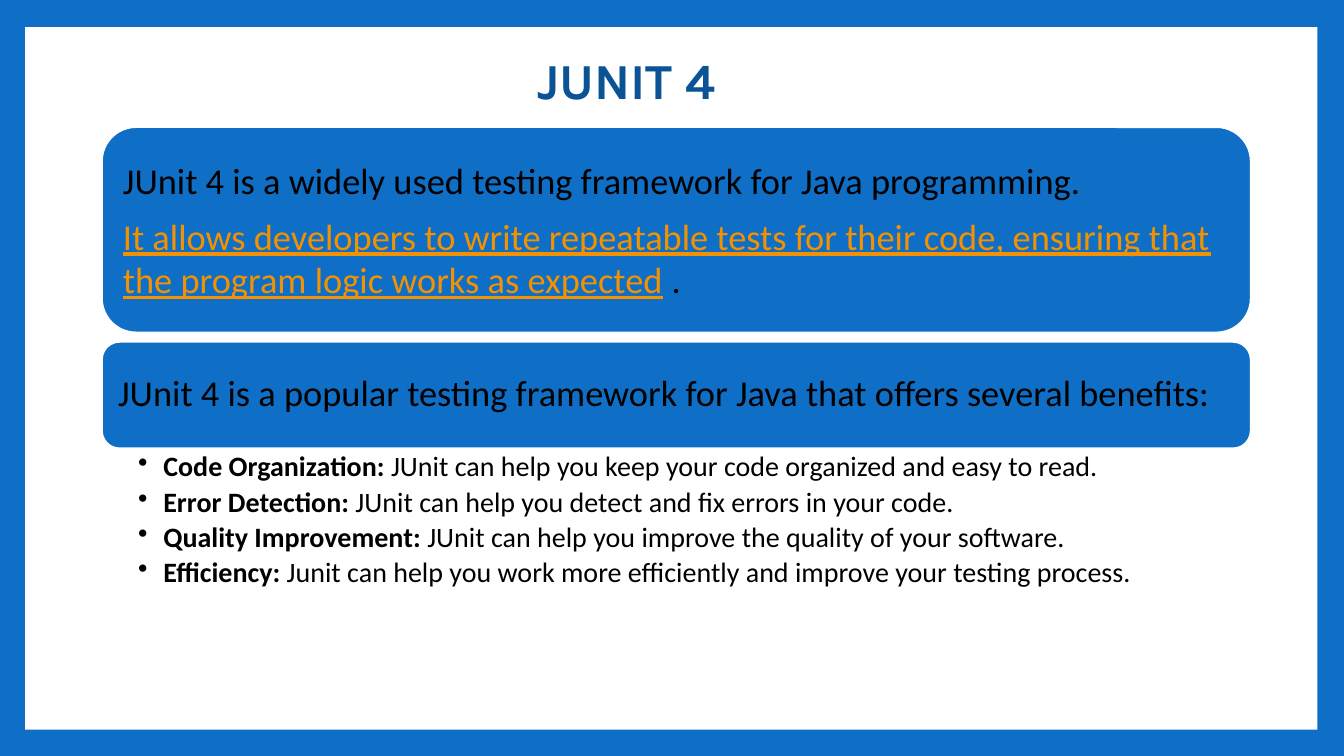
from lxml.etree import SubElement
from pptx import Presentation
from pptx.dml.color import RGBColor
from pptx.enum.shapes import MSO_SHAPE as Preset
from pptx.enum.text import MSO_ANCHOR as Anchor, PP_ALIGN as Align
from pptx.oxml.ns import qn
from pptx.util import Pt

COLORS = {
    "blue": "0F6FC6",
    "navy": "0B5394",
    "orange": "F49100",
    "white": "FFFFFF",
    "black": "000000",
}
LEFT, WIDTH = 72.7, 820.8


def rgb(name):
    return RGBColor.from_string(COLORS[name])


class SlideBuilder:
    """Holds the current slide and its text style."""

    def __init__(self, slide, body_font="Calibri", title_font="Karla"):
        self.slide = slide
        self.body_font = body_font
        self.title_font = title_font

    def background(self, color):
        fill = self.slide.background.fill
        fill.solid()
        fill.fore_color.rgb = rgb(color)

    def run(self, paragraph, text, size, color="black", bold=False,
            underline=False, font=None):
        run = paragraph.add_run()
        run.text = text
        run.font.name = font or self.body_font
        run.font.size = Pt(size)
        run.font.bold = bold
        run.font.underline = underline
        run.font.color.rgb = rgb(color)

    def paragraphs(self, frame, count, spacing, after):
        """Yield left-aligned paragraphs, reusing the frame's first one."""
        for index in range(count):
            paragraph = frame.add_paragraph() if index else frame.paragraphs[0]
            paragraph.alignment = Align.LEFT
            paragraph.line_spacing = spacing
            paragraph.space_after = Pt(after)
            yield paragraph

    def margins(self, frame, left, top, right, bottom):
        frame.word_wrap = True
        frame.margin_left, frame.margin_top = Pt(left), Pt(top)
        frame.margin_right, frame.margin_bottom = Pt(right), Pt(bottom)

    def title(self, text, left, top, width, height):
        heading = self.slide.shapes.title
        heading.left, heading.top = Pt(left), Pt(top)
        heading.width, heading.height = Pt(width), Pt(height)
        frame = heading.text_frame
        self.margins(frame, 7.2, 3.6, 7.2, 3.6)
        frame.vertical_anchor = Anchor.BOTTOM
        paragraph = frame.paragraphs[0]
        paragraph.alignment = Align.LEFT
        self.run(paragraph, text, 36, "navy", bold=True, font=self.title_font)

    def box(self, preset, left, top, width, height, color):
        box = self.slide.shapes.add_shape(
            preset, Pt(left), Pt(top), Pt(width), Pt(height))
        box.shadow.inherit = False
        box.fill.solid()
        box.fill.fore_color.rgb = rgb(color)
        box.line.fill.background()
        return box

    def panel(self, left, top, width, height):
        """Draw the white page area behind the title."""
        panel = self.box(Preset.RECTANGLE, left, top, width, height, "white")
        self.slide.shapes.title.element.addprevious(panel.element)

    def card(self, top, height, statements, spacing=1.0):
        card = self.box(Preset.ROUNDED_RECTANGLE, LEFT, top, WIDTH, height, "blue")
        card.line.color.rgb = rgb("white")
        card.line.width = Pt(1.5)
        frame = card.text_frame
        self.margins(frame, 8, 8, 8, 8)
        frame.vertical_anchor = Anchor.MIDDLE
        rows = self.paragraphs(frame, len(statements), spacing, 8.5)
        for paragraph, parts in zip(rows, statements):
            for text, style in parts:
                self.run(paragraph, text, 26, **style)

    def bullets(self, top, height, items):
        listing = self.slide.shapes.add_textbox(
            Pt(LEFT), Pt(top), Pt(WIDTH), Pt(height))
        frame = listing.text_frame
        self.margins(frame, 26, 3, 14.4, 3)
        rows = self.paragraphs(frame, len(items), 0.9, 3.6)
        for paragraph, (benefit, detail) in zip(rows, items):
            properties = paragraph._p.get_or_add_pPr()
            properties.set("marL", str(Pt(18)))
            properties.set("indent", str(-Pt(18)))
            SubElement(properties, qn("a:buChar"), char="•")
            self.run(paragraph, benefit, 20, bold=True)
            self.run(paragraph, detail, 20)


def main():
    deck = Presentation()
    deck.slide_width, deck.slide_height = Pt(960), Pt(540)
    page = SlideBuilder(deck.slides.add_slide(deck.slide_layouts[5]))

    page.background("blue")
    page.panel(18, 19.4, 923, 501.8)
    page.title("JUNIT 4", 376.6, -36.7, 671.8, 118.8)

    plain = {}
    highlight = {"color": "orange", "underline": True}
    page.card(90.7, 146.9, [
        [("JUnit 4 is a widely used testing framework for Java programming.", plain)],
        [("It allows developers to write repeatable tests for their code, "
          "ensuring that the program logic works as expected", highlight),
         (" .", plain)],
    ])
    page.card(244.1, 76.3, [
        [("JUnit 4 is a popular testing framework for Java that offers "
          "several benefits:", plain)],
    ], spacing=0.9)
    page.bullets(320.4, 144, [
        ("Code Organization:",
         " JUnit can help you keep your code organized and easy to read."),
        ("Error Detection:",
         " JUnit can help you detect and fix errors in your code."),
        ("Quality Improvement:",
         " JUnit can help you improve the quality of your software."),
        ("Efficiency: ",
         "Junit can help you work more efficiently and improve your testing process."),
    ])
    deck.save("out.pptx")


if __name__ == "__main__":
    main()
